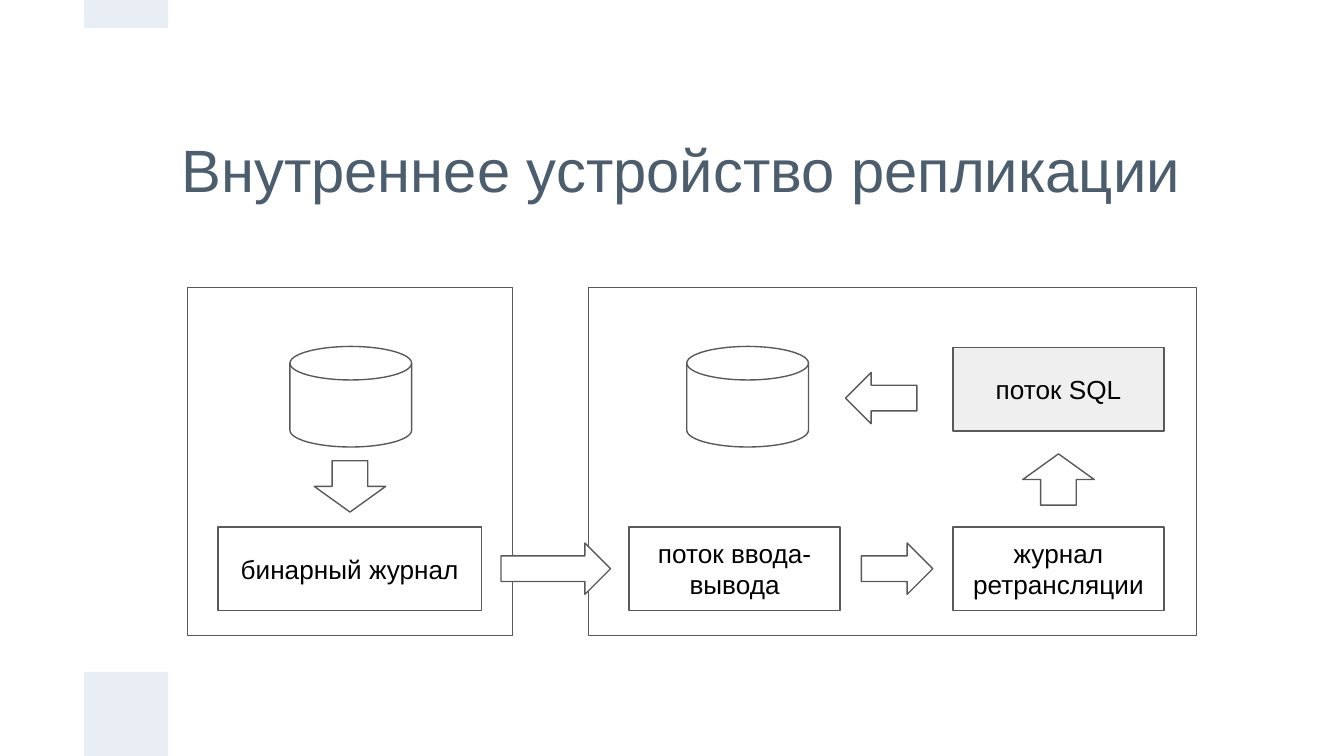
from dataclasses import dataclass

from pptx import Presentation
from pptx import util as u
from pptx.dml import color
from pptx.enum import shapes, text


@dataclass(frozen=True)
class Theme:
    font: str = "Arial"
    title_size: float = 32
    label_size: float = 14
    line_width: float = 0.75
    title: str = "4C5D6E"
    label: str = "000000"
    outline: str = "595959"
    accent: str = "E9EDF4"
    highlight: str = "EFEFEF"
    white: str = "FFFFFF"


THEME = Theme()
KIND = shapes.MSO_SHAPE

LOWER_ROW = 9.96
BOX_HEIGHT = 1.58
ARROW_LENGTH, ARROW_WIDTH = 1.35, 0.97
FLOW_ARROW_TOP = LOWER_ROW + (BOX_HEIGHT - ARROW_WIDTH) / 2


def write(shape, content, size=THEME.label_size, tint=THEME.label,
          align=text.PP_ALIGN.CENTER):
    frame = shape.text_frame
    frame.word_wrap = True
    frame.auto_size = text.MSO_AUTO_SIZE.NONE
    frame.vertical_anchor = text.MSO_ANCHOR.MIDDLE
    frame.margin_left = frame.margin_right = u.Cm(0.25)
    frame.margin_top = frame.margin_bottom = u.Cm(0.25)
    para = frame.paragraphs[0]
    para.alignment = align
    span = para.add_run()
    span.text = content
    span.font.name = THEME.font
    span.font.size = u.Pt(size)
    span.font.color.rgb = color.RGBColor.from_string(tint)


def place(shape, left, top, width, height):
    shape.left, shape.top = u.Cm(left), u.Cm(top)
    shape.width, shape.height = u.Cm(width), u.Cm(height)


def add_title(page, content):
    title = page.shapes.title
    place(title, 3.18, 1.59, 20.07, 3.18)
    write(title, content, size=THEME.title_size, tint=THEME.title,
          align=text.PP_ALIGN.LEFT)


def add_figure(page, kind, left, top, width, height, fill=None, outline=THEME.outline):
    figure = page.shapes.add_shape(
        kind, u.Cm(left), u.Cm(top), u.Cm(width), u.Cm(height))
    figure.shadow.inherit = False
    if fill:
        figure.fill.solid()
        figure.fill.fore_color.rgb = color.RGBColor.from_string(fill)
    else:
        figure.fill.background()
    if outline:
        figure.line.color.rgb = color.RGBColor.from_string(outline)
        figure.line.width = u.Pt(THEME.line_width)
    else:
        figure.line.fill.background()
    return figure


def add_accent(page, top, height):
    add_figure(page, KIND.RECTANGLE, 1.59, top, 1.59, height,
               fill=THEME.accent, outline=None)


def add_server(page, left, width):
    add_figure(page, KIND.RECTANGLE, left, 5.44, width, 6.58)


def add_database(page, left):
    add_figure(page, KIND.FLOWCHART_MAGNETIC_DISK, left, 6.55, 2.3, 1.9)


def add_step(page, content, left, top=LOWER_ROW, width=3.99, fill=None):
    box = add_figure(page, KIND.RECTANGLE, left, top, width, BOX_HEIGHT, fill=fill)
    write(box, content)


def add_arrow(page, kind, left, top, length=ARROW_LENGTH, fill=THEME.white):
    add_figure(page, kind, left, top, length, ARROW_WIDTH, fill=fill)


def main():
    deck = Presentation()
    deck.slide_width, deck.slide_height = u.Cm(25.4), u.Cm(14.29)
    page = deck.slides.add_slide(deck.slide_layouts[5])

    add_title(page, "Внутреннее устройство репликации")
    add_accent(page, 12.7, 1.59)
    add_accent(page, 0, 0.53)

    add_server(page, 3.54, 6.15)
    add_server(page, 11.12, 11.5)

    add_step(page, "бинарный журнал", 4.12, width=4.98)
    add_step(page, "журнал ретрансляции", 18.01)
    for left in (5.48, 12.98):
        add_database(page, left)
    add_step(page, "поток ввода-вывода", 11.89)
    add_step(page, "поток SQL", 18.01, top=6.57, fill=THEME.highlight)

    add_arrow(page, KIND.DOWN_ARROW, 5.94, 8.71, fill=None)
    add_arrow(page, KIND.RIGHT_ARROW, 9.47, FLOW_ARROW_TOP, length=2.07)
    add_arrow(page, KIND.RIGHT_ARROW, 16.28, FLOW_ARROW_TOP)
    add_arrow(page, KIND.UP_ARROW, 19.33, 8.58, fill=None)
    add_arrow(page, KIND.LEFT_ARROW, 15.98, 7.04)

    deck.save("out.pptx")


if __name__ == "__main__":
    main()
